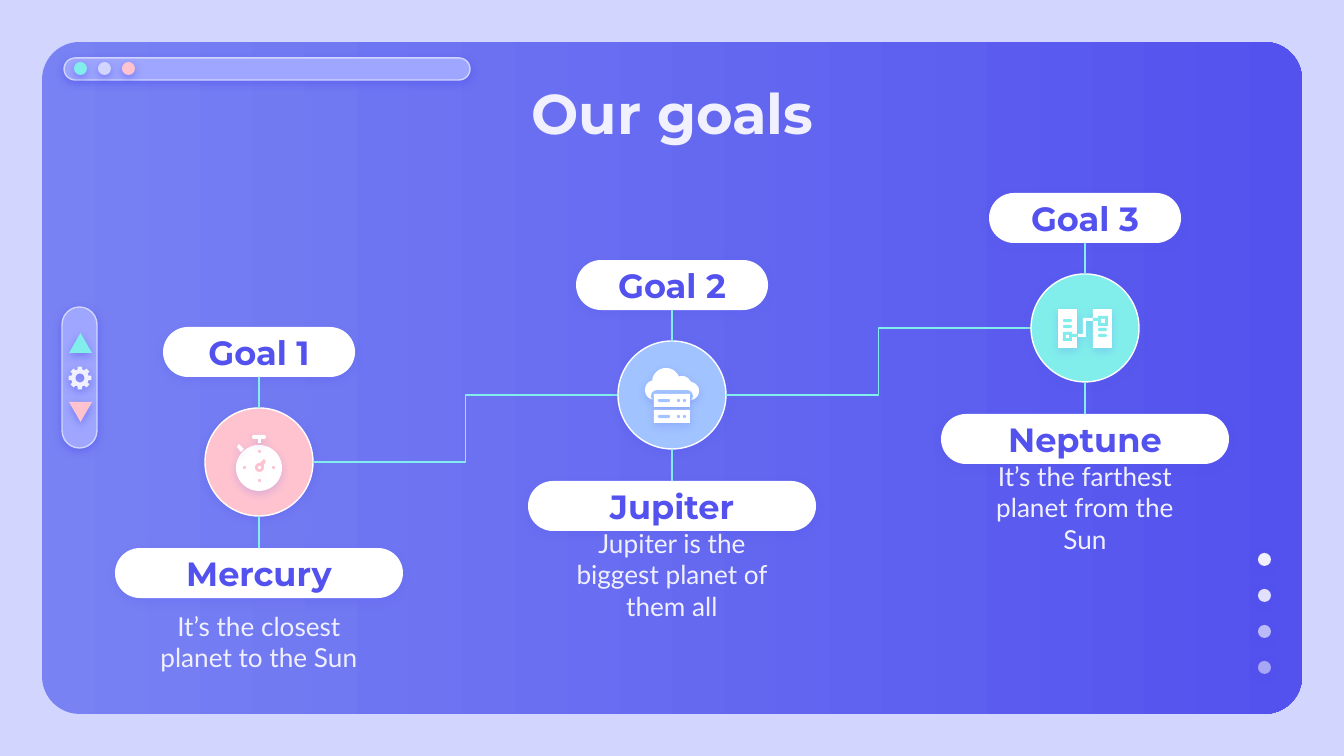
from math import cos, radians, sin

from lxml.etree import SubElement
from pptx import Presentation
from pptx.dml.color import RGBColor
from pptx.enum.shapes import MSO_CONNECTOR as LINK, MSO_SHAPE as FORM
from pptx.enum.text import MSO_ANCHOR as ANCHOR, MSO_AUTO_SIZE as FIT, PP_ALIGN as ALIGN
from pptx.oxml.ns import qn
from pptx.util import Pt

PX = 914400 / 134.4
WHITE, PALE, MIST, LILAC = "FFFFFF", "F1F0FF", "D2D6FF", "9EA6FF"
INDIGO, AQUA, PINK, SKY = "5352EE", "81EEEB", "FFC3D0", "A1C3FF"
rgb = RGBColor.from_string

deck = Presentation()
deck.slide_width, deck.slide_height = round(1344 * PX), round(756 * PX)
slide = deck.slides.add_slide(deck.slide_layouts[5])
shapes = slide.shapes


def draw(form, x, y, w=0, h=0, fill=WHITE, dark=0, edge=None, fade=100):
    """Add a preset, or an outline given as a list of loops around x, y."""
    if isinstance(form, list):
        loops = [[((x + a) * 10, (y + b) * 10) for a, b in loop] for loop in form]
        pen = shapes.build_freeform(*loops[0][0], scale=PX / 10)
        pen.add_line_segments(loops[0][1:], close=True)
        for loop in loops[1:]:
            pen.move_to(*loop[0])
            pen.add_line_segments(loop[1:], close=True)
        shape = pen.convert_to_shape()
    else:
        shape = shapes.add_shape(form, *(round(v * PX) for v in (x, y, w, h)))
        if form == FORM.ROUNDED_RECTANGLE:
            shape.adjustments[0] = 0.5
    shape.fill.solid()
    shape.fill.fore_color.rgb = rgb(fill)
    props = shape._element.spPr
    if fade < 100:
        SubElement(props.find(".//" + qn("a:srgbClr")), qn("a:alpha"), val=str(fade * 1000))
    if edge:
        shape.line.color.rgb = rgb(edge)
        shape.line.width = Pt(0.75)
    else:
        shape.line.fill.background()
    shape.shadow.inherit = False
    if dark:
        cast = SubElement(props.find(qn("a:effectLst")), qn("a:outerShdw"), blurRad="57150",
                          dist="19050", dir="5400000", algn="bl", rotWithShape="0")
        tint = SubElement(cast, qn("a:srgbClr"), val=INDIGO)
        SubElement(tint, qn("a:alpha"), val=str(dark * 1000))
    return shape


def write(shape, text, size, font, color, bold=True, anchor=ANCHOR.MIDDLE):
    frame = shape.text_frame
    frame.word_wrap, frame.auto_size = True, FIT.NONE
    frame.vertical_anchor = anchor
    frame.margin_left = frame.margin_right = round(13 * PX)
    frame.margin_top = frame.margin_bottom = round(13 * PX)
    para = frame.paragraphs[0]
    para.alignment = ALIGN.CENTER
    run = para.add_run()
    run.text = text
    run.font.size, run.font.name, run.font.bold = Pt(size), font, bold
    run.font.color.rgb = rgb(color)


# Backdrop and gradient panel
slide.background.fill.solid()
slide.background.fill.fore_color.rgb = rgb(MIST)
panel = draw(FORM.ROUNDED_RECTANGLE, 42, 42, 1260, 672)
panel.adjustments[0] = 0.056
panel.fill.gradient()
panel.fill.gradient_angle = 0
for stop, color in zip(panel.fill.gradient_stops, ("7882F3", INDIGO)):
    stop.color.rgb = rgb(color)

# Window bar, its buttons and the page dots
draw(FORM.ROUNDED_RECTANGLE, 64, 58, 406, 22, LILAC, 50, MIST)
for i, color in enumerate((AQUA, MIST, PINK)):
    draw(FORM.OVAL, 74 + 24 * i, 62, 13, 13, color, 50)
for i, fade in enumerate((100, 90, 67, 54)):
    draw(FORM.OVAL, 1258, 553 + 36 * i, 13, 13, PALE, 50, fade=fade)

# Side control with arrows and gear
draw(FORM.ROUNDED_RECTANGLE, 62, 307, 35, 141, LILAC, 50, MIST)
draw(FORM.ISOSCELES_TRIANGLE, 69, 333, 23, 20, AQUA, 50)
draw(FORM.ISOSCELES_TRIANGLE, 69, 402, 23, 20, PINK, 50).rotation = 180
teeth = [(r * cos(radians(45 * i + a)), r * sin(radians(45 * i + a)))
         for i in range(8) for a, r in ((-11, 11.5), (11, 11.5), (15, 8.8), (30, 8.8))]
hub = [(4.5 * cos(radians(a)), -4.5 * sin(radians(a))) for a in range(0, 360, 15)]
draw([teeth, hub], 80, 378, fill=PALE, dark=52)

# Title, brought in front of the panel
title = shapes.title
title.left, title.top, title.width, title.height = (
    round(v * PX) for v in (106, 66, 1133, 85))
write(title, "Our goals", 30, "Montserrat", PALE, anchor=ANCHOR.TOP)
panel._element.getparent().append(title._element)

# Icon parts around a circle's middle: form, x, y, w, h, and whether it is cut out
DISC, BAR, BOX = FORM.OVAL, FORM.ROUNDED_RECTANGLE, FORM.RECTANGLE
cloud = [(x + r * cos(radians(a)), y + r * sin(radians(a)))
         for x, y, r, first, last in ((-17, -5, 10, 90, 260), (-6, -13, 14, 190, 330),
                                      (10, -10, 9, 250, 330), (18, -4, 9, 280, 450))
         for a in range(first, last + 1, 10)]
cable = [(-7, 6), (-2, 6), (-2, -10), (8, -10), (8, -7), (1, -7), (1, 9), (-7, 9)]
watch = [
    (DISC, -23, -17, 46, 46, False), (BAR, -7, -27, 14, 4, False), (BOX, -1, -24, 3, 5, False),
    ([[(-22, -15), (-20, -18), (-15, -13), (-18, -10)]], 0, 0, 0, 0, False),
    (DISC, -1, -12, 3, 3, True), (DISC, -16, 4, 3, 3, True),
    (DISC, 13, 4, 3, 3, True), (DISC, -1, 17, 3, 3, True),
    ([[(0, 2), (5, -3), (7, -1), (4, 5)]], 0, 0, 0, 0, True),
    (DISC, -4, 1, 9, 9, True), (DISC, -1, 4, 3, 3, False),
]
server = [([cloud], 0, 0, 0, 0, False), (BAR, -21, -5, 42, 12, True)]
for y in (-1, 15):
    server += [(BOX, -18, y, 36, 13, False), (BAR, -14, y + 5, 12, 3, True),
               (DISC, 5, y + 5, 3, 3, True), (DISC, 11, y + 5, 3, 3, True)]
network = [
    (BOX, -27, -19, 19, 39, False), (BOX, 8, -19, 19, 39, False), ([cable], 0, 0, 0, 0, False),
    (BAR, -22, -9, 9, 3, True), (BAR, -22, -3, 9, 3, True), (BOX, -22, 4, 9, 9, True),
    (BOX, -13, 6, 6, 3, True), (BOX, -19, 7, 3, 3, False),
    (BAR, 13, 0, 9, 3, True), (BAR, 13, 6, 9, 3, True), (BOX, 13, -12, 10, 10, True),
    (BOX, 8, -10, 5, 3, True), (BOX, 16, -9, 4, 4, False),
]

# Three goals, each one step further up
goals = [
    ("Mercury", "It’s the closest planet to the Sun", PINK, watch),
    ("Jupiter", "Jupiter is the biggest planet of them all", SKY, server),
    ("Neptune", "It’s the farthest planet from the Sun", AQUA, network),
]
for i, (name, note, color, icon) in enumerate(goals):
    x, y = 259 + 413 * i, 462 - 67 * i
    goal = draw(BAR, x - 96, y - 135, 192, 50, dark=18)
    write(goal, f"Goal {i + 1}", 18, "Montserrat", INDIGO)
    planet = draw(BAR, x - 144, y + 86, 288, 50, dark=18)
    write(planet, name, 18, "Montserrat", INDIGO)
    text = shapes.add_textbox(*(round(v * PX) for v in (x - 120, y + 144, 240, 71)))
    write(text, note, 14, "Lato", PALE, bold=False)
    draw(DISC, x - 54, y - 54, 108, 108, color, 22, WHITE)
    for form, dx, dy, w, h, cut in icon:
        draw(form, x + dx, y + dy, w, h, color if cut else WHITE, 0 if cut else 19)

    # Stems to both labels, and the step to the next goal
    ends = [(LINK.STRAIGHT, x, y - 54, x, y - 85, goal, 2),
            (LINK.STRAIGHT, x, y + 54, x, y + 86, planet, 0)]
    if i < 2:
        ends.append((LINK.ELBOW, x + 54, y, x + 359, y - 67, None, 0))
    for kind, x1, y1, x2, y2, label, side in ends:
        link = shapes.add_connector(kind, *(round(v * PX) for v in (x1, y1, x2, y2)))
        if label:
            link.end_connect(label, side)
        link.line.color.rgb = rgb(AQUA)
        link.line.width = Pt(0.75)
        SubElement(link._element.spPr, qn("a:effectLst"))

deck.save("out.pptx")
